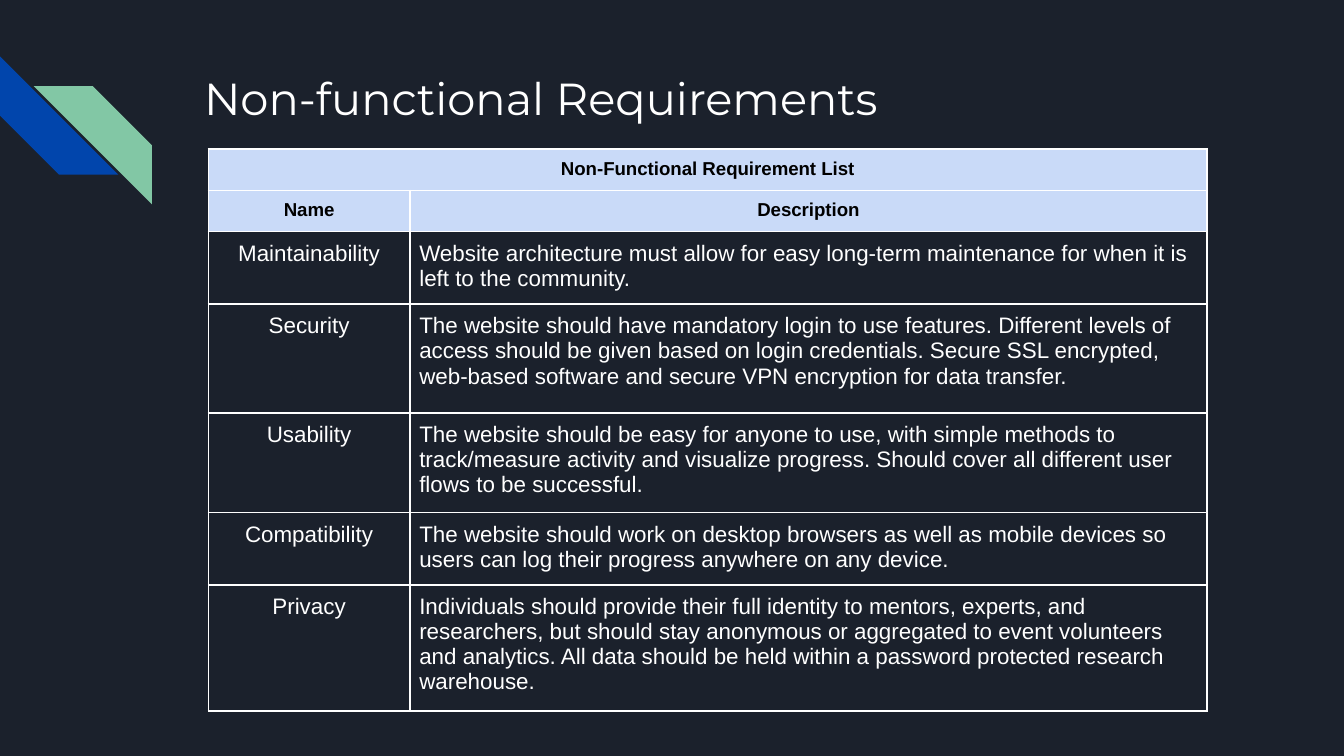
from pptx import Presentation
from pptx import util as u
from pptx.dml.color import RGBColor
from pptx.enum import shapes, text
from pptx.oxml import parse_xml
from pptx.oxml.ns import nsdecls

NIGHT = RGBColor(0x1B, 0x21, 0x2C)
BLUE = RGBColor(0x01, 0x45, 0xAC)
GREEN = RGBColor(0x82, 0xC7, 0xA5)
PALE_BLUE = RGBColor(0xC9, 0xDA, 0xF8)
WHITE = RGBColor(0xFF, 0xFF, 0xFF)
BLACK = RGBColor(0, 0, 0)

COLS = [1.5, 5.93]
ROWS = [0.29, 0.29, 0.47, 0.81, 0.64, 0.47, 0.81]
HEADERS = [("Non-Functional Requirement List", ""), ("Name", "Description")]
REQUIREMENTS = [
    ("Maintainability",
     "Website architecture must allow for easy long-term maintenance for "
     "when it is left to the community."),
    ("Security",
     "The website should have mandatory login to use features. Different "
     "levels of access should be given based on login credentials. Secure "
     "SSL encrypted, web-based software and secure VPN encryption for data "
     "transfer."),
    ("Usability",
     "The website should be easy for anyone to use, with simple methods to "
     "track/measure activity and visualize progress. Should cover all "
     "different user flows to be successful."),
    ("Compatibility",
     "The website should work on desktop browsers as well as mobile devices "
     "so users can log their progress anywhere on any device."),
    ("Privacy",
     "Individuals should provide their full identity to mentors, experts, "
     "and researchers, but should stay anonymous or aggregated to event "
     "volunteers and analytics. All data should be held within a password "
     "protected research warehouse."),
]


def write(tf, words, size=12, font="Arial", color=WHITE, bold=False,
          align=text.PP_ALIGN.LEFT):
    p = tf.paragraphs[0]
    p.alignment = align
    r = p.add_run()
    r.text = words
    r.font.size, r.font.name, r.font.bold = u.Pt(size), font, bold
    r.font.color.rgb = color


def set_margins(holder, inset):
    """Give a cell or a text frame the same margin on all sides."""
    holder.margin_left = holder.margin_right = u.Inches(inset)
    holder.margin_top = holder.margin_bottom = u.Inches(inset)


def add_stripe(slide, left, top, rotation, color, side=0.88):
    s = slide.shapes.add_shape(shapes.MSO_SHAPE.DIAGONAL_STRIPE, u.Inches(left),
                               u.Inches(top), u.Inches(side), u.Inches(side))
    s.rotation = rotation
    s.shadow.inherit = False
    s.fill.solid()
    s.fill.fore_color.rgb = color
    s.line.fill.background()


def add_title(slide, words):
    s = slide.shapes.add_textbox(u.Inches(1.42), u.Inches(0.43),
                                 u.Inches(7.7), u.Inches(1))
    tf = s.text_frame
    tf.word_wrap = True
    set_margins(tf, 0.1)
    write(tf, words, size=24, font="Montserrat")


def add_borders(cell, color=WHITE, width=1):
    tcPr = cell._tc.get_or_add_tcPr()
    for i, side in enumerate(("lnL", "lnR", "lnT", "lnB")):
        tcPr.insert(i, parse_xml(
            f'<a:{side} {nsdecls("a")} w="{u.Pt(width)}"><a:solidFill>'
            f'<a:srgbClr val="{color}"/></a:solidFill></a:{side}>'))


def add_requirements(slide):
    table = slide.shapes.add_table(
        len(ROWS), len(COLS), u.Inches(1.55), u.Inches(1.11),
        u.Inches(sum(COLS)), u.Inches(sum(ROWS))).table
    table.first_row = table.horz_banding = False
    for col, width in zip(table.columns, COLS):
        col.width = u.Inches(width)
    for row, height in zip(table.rows, ROWS):
        row.height = u.Inches(height)
    table.cell(0, 0).merge(table.cell(0, 1))

    for i, entries in enumerate(HEADERS + REQUIREMENTS):
        header = i < len(HEADERS)
        for j, words in enumerate(entries):
            cell = table.cell(i, j)
            if header:
                cell.fill.solid()
                cell.fill.fore_color.rgb = PALE_BLUE
            else:
                cell.fill.background()
            add_borders(cell)
            set_margins(cell, 0.07)
            if cell.is_spanned:
                continue
            centred = header or j == 0
            write(cell.text_frame, words, size=10 if header else 12,
                  color=BLACK if header else WHITE, bold=header,
                  align=text.PP_ALIGN.CENTER if centred else text.PP_ALIGN.LEFT)


def main():
    prs = Presentation()
    prs.slide_width, prs.slide_height = u.Inches(10), u.Emu(u.Inches(10) * 9 // 16)
    slide = prs.slides.add_slide(prs.slide_layouts[6])
    slide.background.fill.solid()
    slide.background.fill.fore_color.rgb = NIGHT

    # Corner stripes
    add_stripe(slide, 0, 0.42, 270, BLUE)
    add_stripe(slide, 0.25, 0.64, 90, GREEN)

    # Title and table
    add_title(slide, "Non-functional Requirements")
    add_requirements(slide)
    prs.save("out.pptx")


if __name__ == "__main__":
    main()
